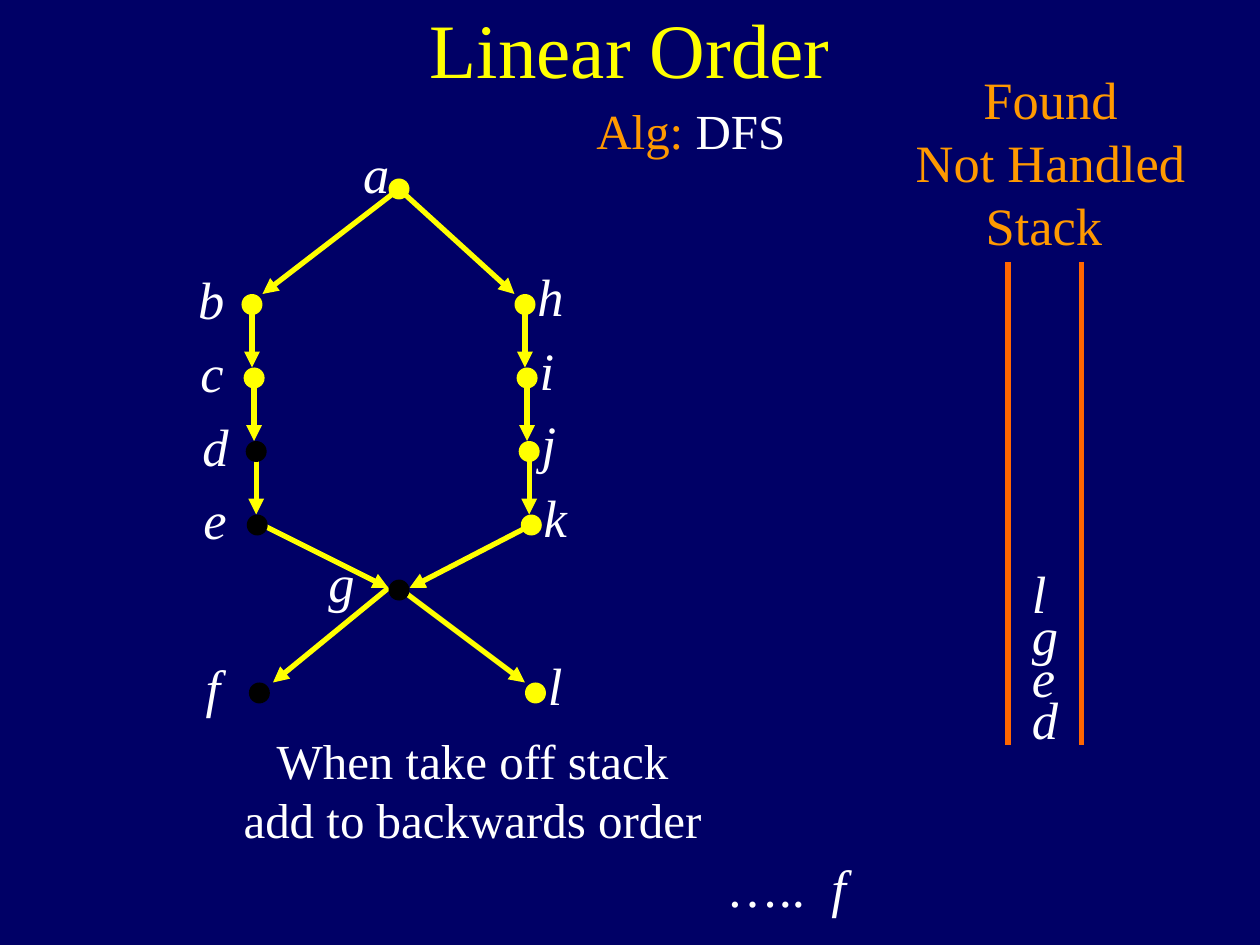
from dataclasses import dataclass
from lxml.etree import SubElement
from pptx import Presentation
from pptx.dml.color import RGBColor
from pptx.enum.shapes import MSO_CONNECTOR, MSO_SHAPE
from pptx.enum.text import MSO_ANCHOR, PP_ALIGN
from pptx.oxml.ns import qn
from pptx.util import Emu, Inches, Pt

UNIT = Inches(1) / 12  # the slide is a grid of 120 columns by 90 rows


@dataclass(frozen=True)
class Theme:
    font: str = "Times New Roman"
    background: RGBColor = RGBColor(0x00, 0x00, 0x66)
    highlight: RGBColor = RGBColor(0xFF, 0xFF, 0x00)
    heading: RGBColor = RGBColor(0xFF, 0x99, 0x00)
    rail: RGBColor = RGBColor(0xFF, 0x66, 0x00)
    text: RGBColor = RGBColor(0xFF, 0xFF, 0xFF)
    handled: RGBColor = RGBColor(0x00, 0x00, 0x00)
    title_size: int = 44
    label_size: int = 30
    note_size: int = 28
    line_width: int = 3
    line_pitch: float = 1.2


@dataclass(frozen=True)
class Node:
    """A graph vertex: dot centre and label offset, in grid units."""
    name: str
    column: float
    row: float
    label_dx: float
    label_dy: float
    handled: bool = False


@dataclass(frozen=True)
class Edge:
    """An arrow between two nodes, with end points shifted off their centres."""
    start: str
    end: str
    start_shift: tuple[float, float]
    end_shift: tuple[float, float]


THEME = Theme()
DOT_SIZE = 2
LEFT_LABEL = (-6.3, -4.2)
RIGHT_LABEL = (0, -4.4)

NODES = [
    Node("a", 38, 18, -4.6, -5.2),
    Node("b", 24, 29, *LEFT_LABEL),
    Node("c", 24.2, 36, *LEFT_LABEL),
    Node("d", 24.4, 43, *LEFT_LABEL, handled=True),
    Node("e", 24.5, 50, *LEFT_LABEL, handled=True),
    Node("f", 24.7, 66, *LEFT_LABEL, handled=True),
    Node("g", 38, 56.2, -7.9, -4.4, handled=True),
    Node("h", 50, 29, *RIGHT_LABEL),
    Node("i", 50.2, 36, *RIGHT_LABEL),
    Node("j", 50.4, 43, *RIGHT_LABEL),
    Node("k", 50.6, 50, *RIGHT_LABEL),
    Node("l", 51, 66, *RIGHT_LABEL),
]
CHAINS = ["bcde", "hijk"]
BRANCHES = [
    Edge("a", "b", (0, 0), (1, -1)),
    Edge("a", "h", (0, 0), (-1, -1)),
    Edge("e", "g", (0.5, 0), (-1, -0.2)),
    Edge("k", "g", (0, 0), (1, -0.2)),
    Edge("g", "f", (-1, -0.2), (1.3, -1)),
    Edge("g", "l", (0, -0.2), (-1, -1)),
]
STACK = "lged"


def grid(units: float) -> Emu:
    return Emu(round(units * UNIT))


def format_paragraph(paragraph, size: int, color: RGBColor, italic=False) -> None:
    font = paragraph.font
    font.name, font.size, font.italic = THEME.font, Pt(size), italic
    font.color.rgb = color


def add_text(slide, box, text: str, size: int, color: RGBColor,
             italic=False, align=PP_ALIGN.LEFT):
    """Add a one-paragraph text box and return its paragraph."""
    frame = slide.shapes.add_textbox(*map(grid, box)).text_frame
    frame.word_wrap = False
    paragraph = frame.paragraphs[0]
    paragraph.text = text
    paragraph.alignment = align
    paragraph.line_spacing = Pt(size * THEME.line_pitch)
    format_paragraph(paragraph, size, color, italic)
    return paragraph


def add_letter(slide, letter: str, column: float, row: float) -> None:
    width = 3.7 if letter in "fijl" else 4.8
    add_text(slide, (column, row, width, 7.2), letter, THEME.label_size,
             THEME.text, italic=True)


def add_line(slide, start, end, color: RGBColor, arrow=False) -> None:
    connector = slide.shapes.add_connector(
        MSO_CONNECTOR.STRAIGHT, *map(grid, (*start, *end)))
    connector.line.color.rgb = color
    connector.line.width = Pt(THEME.line_width)
    if arrow:
        SubElement(connector.line._get_or_add_ln(), qn("a:tailEnd"), type="triangle")
    SubElement(connector._element.spPr, qn("a:effectLst"))


def add_dot(slide, node: Node) -> None:
    corner = (node.column - DOT_SIZE / 2, node.row - DOT_SIZE / 2)
    dot = slide.shapes.add_shape(
        MSO_SHAPE.OVAL, *map(grid, (*corner, DOT_SIZE, DOT_SIZE)))
    dot.shadow.inherit = False
    dot.fill.solid()
    dot.fill.fore_color.rgb = THEME.handled if node.handled else THEME.highlight
    dot.line.fill.background()


def add_title(slide) -> None:
    title = slide.shapes.title
    title.left, title.top, title.width, title.height = map(grid, (9, -3, 102, 15))
    title.text_frame.vertical_anchor = MSO_ANCHOR.MIDDLE
    paragraph = title.text_frame.paragraphs[0]
    paragraph.text = "Linear Order"
    paragraph.alignment = PP_ALIGN.CENTER
    format_paragraph(paragraph, THEME.title_size, THEME.highlight)


def add_graph(slide) -> None:
    nodes = {node.name: node for node in NODES}
    chain_edges = [
        Edge(start, end, (0, 0), (nodes[start].column - nodes[end].column, -1))
        for chain in CHAINS for start, end in zip(chain, chain[1:])]
    for edge in chain_edges + BRANCHES:
        start, end = (
            (nodes[name].column + shift[0], nodes[name].row + shift[1])
            for name, shift in ((edge.start, edge.start_shift),
                                (edge.end, edge.end_shift)))
        add_line(slide, start, end, THEME.highlight, arrow=True)
    for node in NODES:
        add_dot(slide, node)
        add_letter(slide, node.name, node.column + node.label_dx,
                   node.row + node.label_dy)


def add_stack(slide) -> None:
    for column in (96, 103):
        add_line(slide, (column, 25), (column, 71), THEME.rail)
    add_text(slide, (86, 5.8, 28.1, 19.2), "Found\vNot Handled\vStack ",
             THEME.label_size, THEME.heading, align=PP_ALIGN.CENTER)
    for position, letter in enumerate(STACK):
        add_letter(slide, letter, 97.1, 52.8 + 4 * position)


def add_notes_on_algorithm(slide) -> None:
    algorithm = add_text(slide, (55.6, 9, 20.4, 6.8), "Alg:", THEME.note_size,
                         THEME.heading, align=PP_ALIGN.CENTER)
    name = algorithm.add_run()
    name.text = " DFS"
    name.font.color.rgb = THEME.text

    add_text(slide, (22, 69, 46, 12.5), "When take off stack\vadd to backwards order",
             THEME.note_size, THEME.text, align=PP_ALIGN.CENTER)

    order = add_text(slide, (68, 80.8, 13.8, 7.2), "…..\t", THEME.label_size, THEME.text)
    properties = order._p.get_or_add_pPr()
    tabs = properties.makeelement(qn("a:tabLst"))
    SubElement(tabs, qn("a:tab"), pos=str(grid(10)), algn="l")
    properties.find(qn("a:defRPr")).addprevious(tabs)
    last = order.add_run()
    last.text = "f"
    last.font.italic = True


def main() -> None:
    presentation = Presentation()
    presentation.slide_width, presentation.slide_height = grid(120), grid(90)
    slide = presentation.slides.add_slide(presentation.slide_layouts[5])
    slide.background.fill.solid()
    slide.background.fill.fore_color.rgb = THEME.background
    add_title(slide)
    add_graph(slide)
    add_stack(slide)
    add_notes_on_algorithm(slide)
    presentation.save("out.pptx")


if __name__ == "__main__":
    main()
